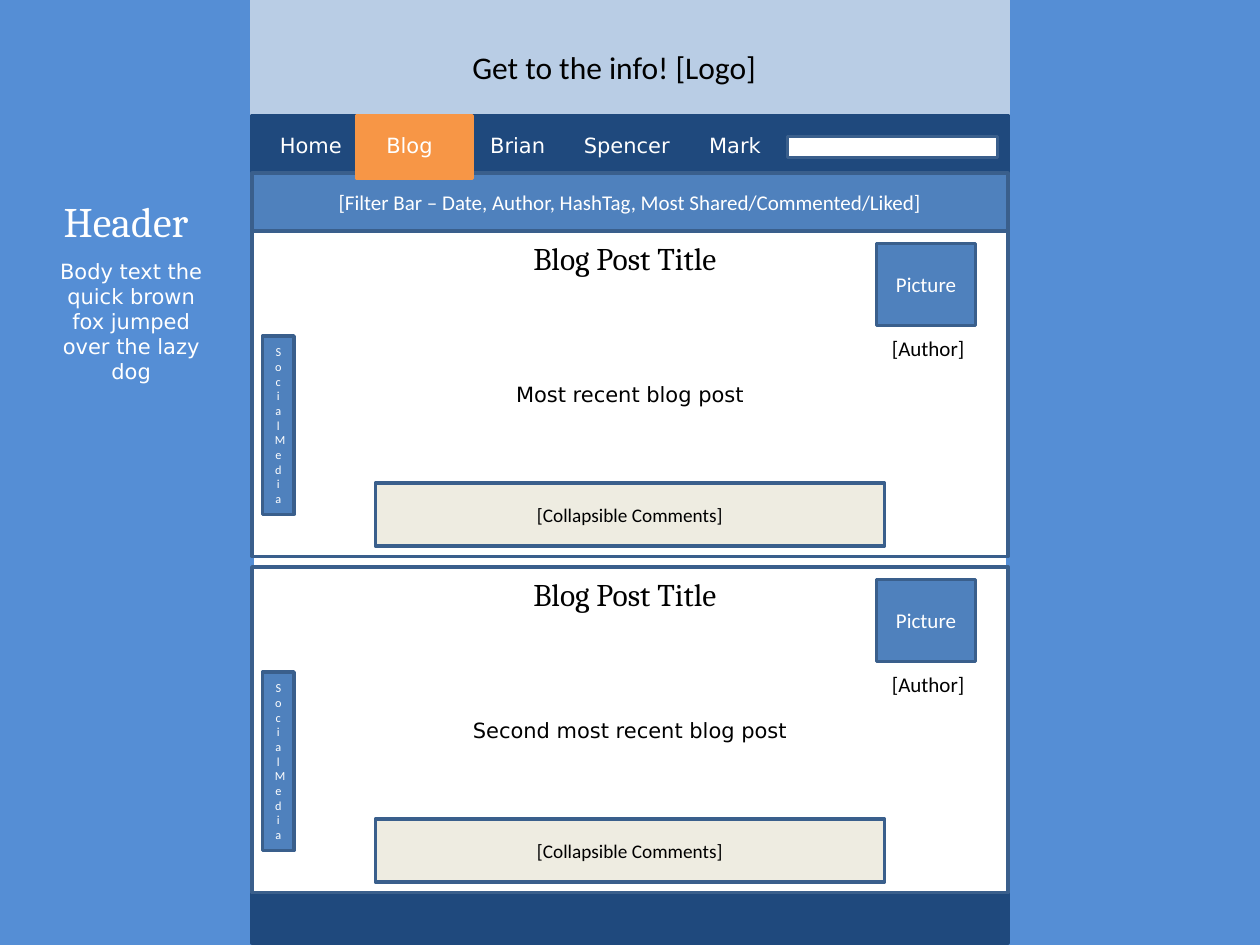
from pptx import Presentation
from pptx.dml.color import RGBColor
from pptx.enum.shapes import MSO_SHAPE
from pptx.enum.text import MSO_ANCHOR, MSO_AUTO_SIZE, PP_ALIGN
from pptx.util import Inches, Pt

COLS, ROWS = 120, 90
WIDE, HIGH = Inches(10), Inches(7.5)

BLACK = RGBColor(0x00, 0x00, 0x00)
WHITE = RGBColor(0xFF, 0xFF, 0xFF)
SKY = RGBColor(0x55, 0x8E, 0xD5)
PALE = RGBColor(0xB9, 0xCD, 0xE5)
NAVY = RGBColor(0x1F, 0x49, 0x7D)
BLUE = RGBColor(0x4F, 0x81, 0xBD)
EDGE = RGBColor(0x3A, 0x5F, 0x8C)
AMBER = RGBColor(0xF7, 0x96, 0x46)
CREAM = RGBColor(0xEE, 0xEC, 0xE1)

SANS, SERIF, PLAIN = "DejaVu Sans", "Cambria", "Calibri"
LOGO = {"name": PLAIN, "size": Pt(18), "color": BLACK}
HEAD = {"name": SERIF, "size": Pt(24), "color": WHITE}
TITLE = {"name": SERIF, "size": Pt(18), "color": BLACK}
MENU = {"name": SANS, "size": Pt(12), "color": WHITE}
BODY = {"name": SANS, "size": Pt(12), "color": BLACK}
LABEL = {"name": PLAIN, "size": Pt(12), "color": WHITE}
AUTHOR = {"name": PLAIN, "size": Pt(12), "color": BLACK}
SOCIAL = {"name": PLAIN, "size": Pt(7), "color": WHITE}
NOTE = {"name": PLAIN, "size": Pt(11), "color": BLACK}


def area(col, row, cols, rows):
    """Turn grid columns and rows into slide lengths."""
    return (int(WIDE * col / COLS), int(HIGH * row / ROWS),
            int(WIDE * cols / COLS), int(HIGH * rows / ROWS))


def write(shape, text, style, anchor, fit=MSO_AUTO_SIZE.NONE):
    """Fill a shape with one centred paragraph."""
    frame = shape.text_frame
    frame.text = text
    layout = {"word_wrap": True, "auto_size": fit, "vertical_anchor": anchor}
    for key, value in layout.items():
        setattr(frame, key, value)
    para = frame.paragraphs[0]
    para.alignment = PP_ALIGN.CENTER
    font = para.runs[0].font
    for key, value in style.items():
        if key == "color":
            font.color.rgb = value
        else:
            setattr(font, key, value)


def box(slide, place, fill, line, text="", style=LABEL):
    """Draw a rectangle, with a centred label if one is given."""
    shape = slide.shapes.add_shape(MSO_SHAPE.RECTANGLE, *area(*place))
    shape.shadow.inherit = False
    if fill is None:
        shape.fill.background()
    else:
        shape.fill.solid()
        shape.fill.fore_color.rgb = fill
    shape.line.color.rgb = line
    shape.line.width = Pt(2)
    if text:
        write(shape, text, style, MSO_ANCHOR.MIDDLE)


def label(slide, place, text, style):
    """Add a text box that grows with its text."""
    shape = slide.shapes.add_textbox(*area(*place))
    write(shape, text, style, MSO_ANCHOR.TOP, MSO_AUTO_SIZE.SHAPE_TO_FIT_TEXT)


def banner(slide, place, text):
    """Move the title placeholder onto the page header."""
    title = slide.shapes.title
    sides = ("left", "top", "width", "height")
    for side, value in zip(sides, area(*place)):
        setattr(title, side, value)
    write(title, text, LOGO, MSO_ANCHOR.TOP)
    title.element.getparent().append(title.element)


def post(slide, top, text):
    """Draw one blog post with its picture, author and comments."""
    label(slide, (40, top + 0.15, 39, 4.8), "Blog Post Title", TITLE)
    box(slide, (24, top, 72, 31), None, EDGE, text, BODY)
    box(slide, (83.5, top + 1.2, 9.4, 7.8), BLUE, EDGE, "Picture")
    box(slide, (25, top + 10, 3, 17), BLUE, EDGE, "Social Media", SOCIAL)
    label(slide, (81.8, top + 9.35, 13.2, 3.6), "[Author]", AUTHOR)
    box(slide, (35.75, top + 24, 48.5, 6), CREAM, EDGE,
        "[Collapsible Comments]", NOTE)


def main():
    """Build the blog page wireframe."""
    deck = Presentation()
    deck.slide_width, deck.slide_height = WIDE, HIGH
    slide = deck.slides.add_slide(deck.slide_layouts[5])

    for col in (0, 96):
        box(slide, (col, 0, 24, 90), SKY, SKY)
    for row, rows, fill in ((0, 11, PALE), (85, 4.8, NAVY), (11, 5.5, NAVY)):
        box(slide, (24, row, 72, rows), fill, fill)
    banner(slide, (33.5, 4, 50, 4.8), "Get to the info! [Logo]")
    label(slide, (3.5, 18, 17, 6), "Header", HEAD)
    label(slide, (4, 24, 17, 13.3),
          "Body text the quick brown fox jumped over the lazy dog", MENU)

    for top, text in ((22, "Most recent blog post"),
                      (54, "Second most recent blog post")):
        post(slide, top, text)

    box(slide, (24, 16.5, 72, 5.5), BLUE, EDGE,
        "[Filter Bar – Date, Author, HashTag, Most Shared/Commented/Liked]")
    box(slide, (34, 11, 11, 6), AMBER, AMBER)
    box(slide, (75, 13, 20, 2), WHITE, EDGE)
    tabs = (("Home", 29.6), ("Blog", 39), ("Brian", 49.3),
            ("Spencer", 59.7), ("Mark", 70))
    for name, mid in tabs:
        label(slide, (mid - 7, 12, 14, 3.6), name, MENU)

    deck.save("out.pptx")


main()
